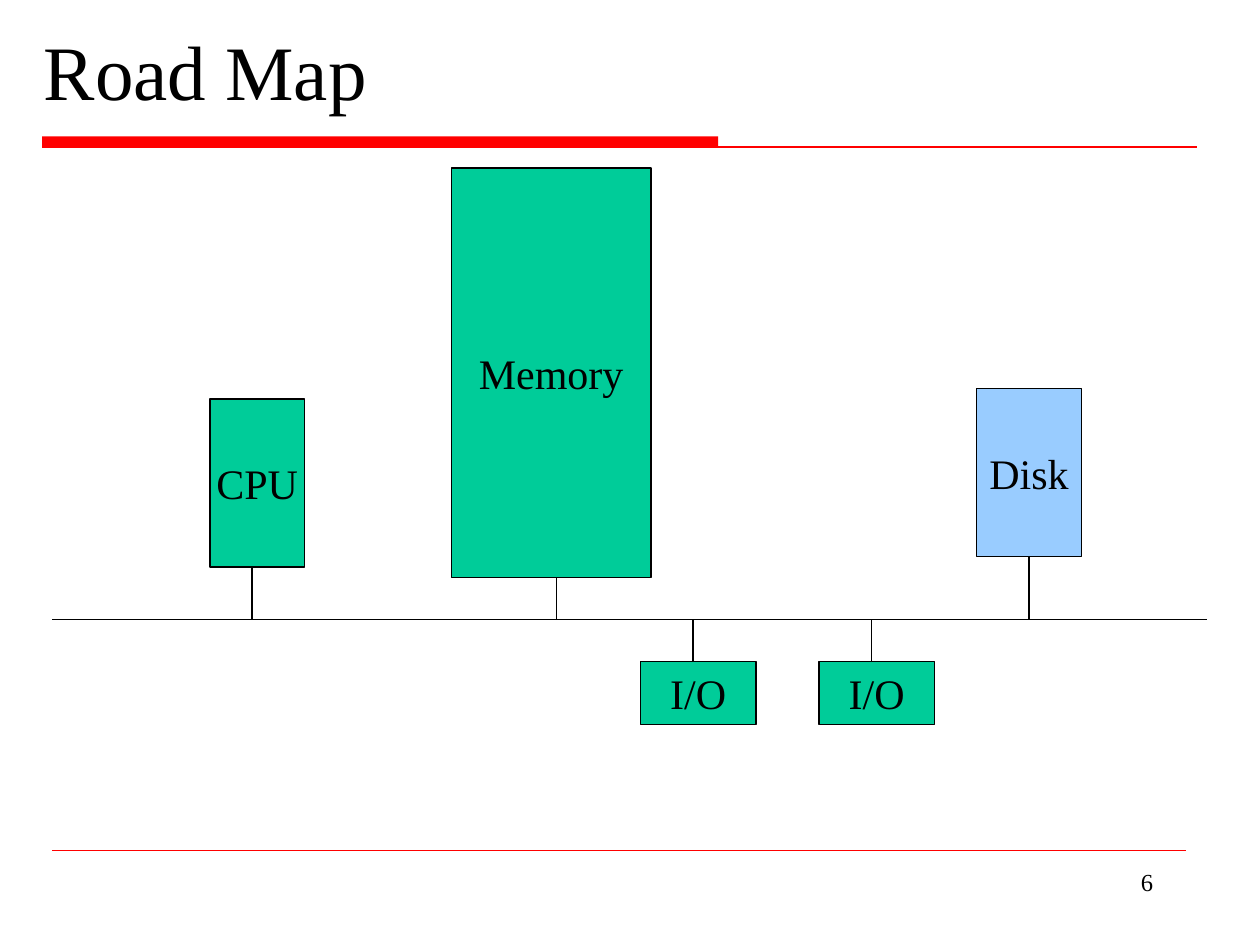
from lxml.etree import SubElement
from pptx import Presentation
from pptx.dml.color import RGBColor as Rgb
from pptx.enum.shapes import MSO_CONNECTOR as Conn, MSO_SHAPE as Shape
from pptx.enum.text import MSO_ANCHOR as Anchor, PP_ALIGN as Align
from pptx.oxml.ns import qn
from pptx.util import Pt

PX = 7620
FONT = "Times New Roman"
COLORS = {"ink": "000000", "rule": "FF0000", "part": "00CC99", "disk": "99CCFF"}


def color(name):
    """Return the named colour."""
    return Rgb.from_string(COLORS[name])


def emu(*px):
    """Turn pixel lengths into EMU."""
    return [n * PX for n in px]


def write(shape, text, size=24, align=Align.LEFT, anchor=Anchor.TOP, wrap=True, gap=None):
    """Put formatted text in a shape."""
    frame = shape.text_frame
    frame.word_wrap = wrap
    frame.vertical_anchor = anchor
    para = frame.paragraphs[0]
    para.alignment = align
    para.line_spacing = gap
    run = para.add_run()
    run.text = text
    run.font.name = FONT
    run.font.size = Pt(size)
    run.font.color.rgb = color("ink")


def line(slide, x1, y1, x2, y2, hue="ink", width=0.75):
    """Draw a straight line without a shadow."""
    wire = slide.shapes.add_connector(Conn.STRAIGHT, *emu(x1, y1, x2, y2))
    wire.line.color.rgb = color(hue)
    wire.line.width = Pt(width)
    SubElement(wire._element.spPr, qn("a:effectLst"))
    return wire


def block(slide, x, y, w, h, fill, edge=None):
    """Draw a filled rectangle."""
    rect = slide.shapes.add_shape(Shape.RECTANGLE, *emu(x, y, w, h))
    rect.shadow.inherit = False
    rect.fill.solid()
    rect.fill.fore_color.rgb = color(fill)
    if edge:
        rect.line.color.rgb = color(edge)
        rect.line.width = Pt(0.75)
    else:
        rect.line.fill.background()
    return rect


def header(slide, x, y, w, h, text):
    """Place the title above its red rule."""
    title = slide.shapes.add_textbox(*emu(x, y, w, h))
    write(title, text, size=44, anchor=Anchor.MIDDLE, gap=0.8)
    left, base = x + 10, y + h + 10
    block(slide, left, base - 10, 644, 10, "rule")
    line(slide, left, base, left + 1100, base, "rule")


def footer(slide, x, y, w, h, number):
    """Place the thin rule and the page number."""
    line(slide, x, y, x + w, y, "rule", 0.25)
    box = slide.shapes.add_textbox(*emu(x + w - 270, y + 10, 250, h - 10))
    write(box, number, size=14, align=Align.RIGHT)


def diagram(slide, x, y, w, h):
    """Hang the machine's parts on a shared bus."""
    bus = y + 430
    line(slide, x, bus, x + w, bus)
    parts = [
        ("CPU", 150, 220, 90, 160, 190, "part"),
        ("Memory", 380, 0, 190, 390, 480, "part"),
        ("Disk", 880, 210, 100, 160, 930, "disk"),
        ("I/O", 560, h - 60, 110, 60, 610, "part"),
        ("I/O", 730, h - 60, 110, 60, 780, "part"),
    ]
    for name, left, top, wide, high, stem, fill in parts:
        rect = block(slide, x + left, y + top, wide, high, fill, "ink")
        write(rect, name, align=Align.CENTER, anchor=Anchor.MIDDLE, wrap=False)
        above = y + top < bus
        end = y + top + (high if above else 0)
        wire = line(slide, x + stem, end, x + stem, bus)
        if stem * 2 == left * 2 + wide:
            wire.begin_connect(rect, 2 if above else 0)


def main():
    """Build and save the slide."""
    deck = Presentation()
    deck.slide_width, deck.slide_height = emu(1200, 900)
    slide = deck.slides.add_slide(deck.slide_layouts[6])
    header(slide, 30, 20, 1120, 110, "Road Map")
    footer(slide, 50, 810, 1080, 70, "6")
    diagram(slide, 50, 160, 1100, 530)
    deck.save("out.pptx")


if __name__ == "__main__":
    main()
